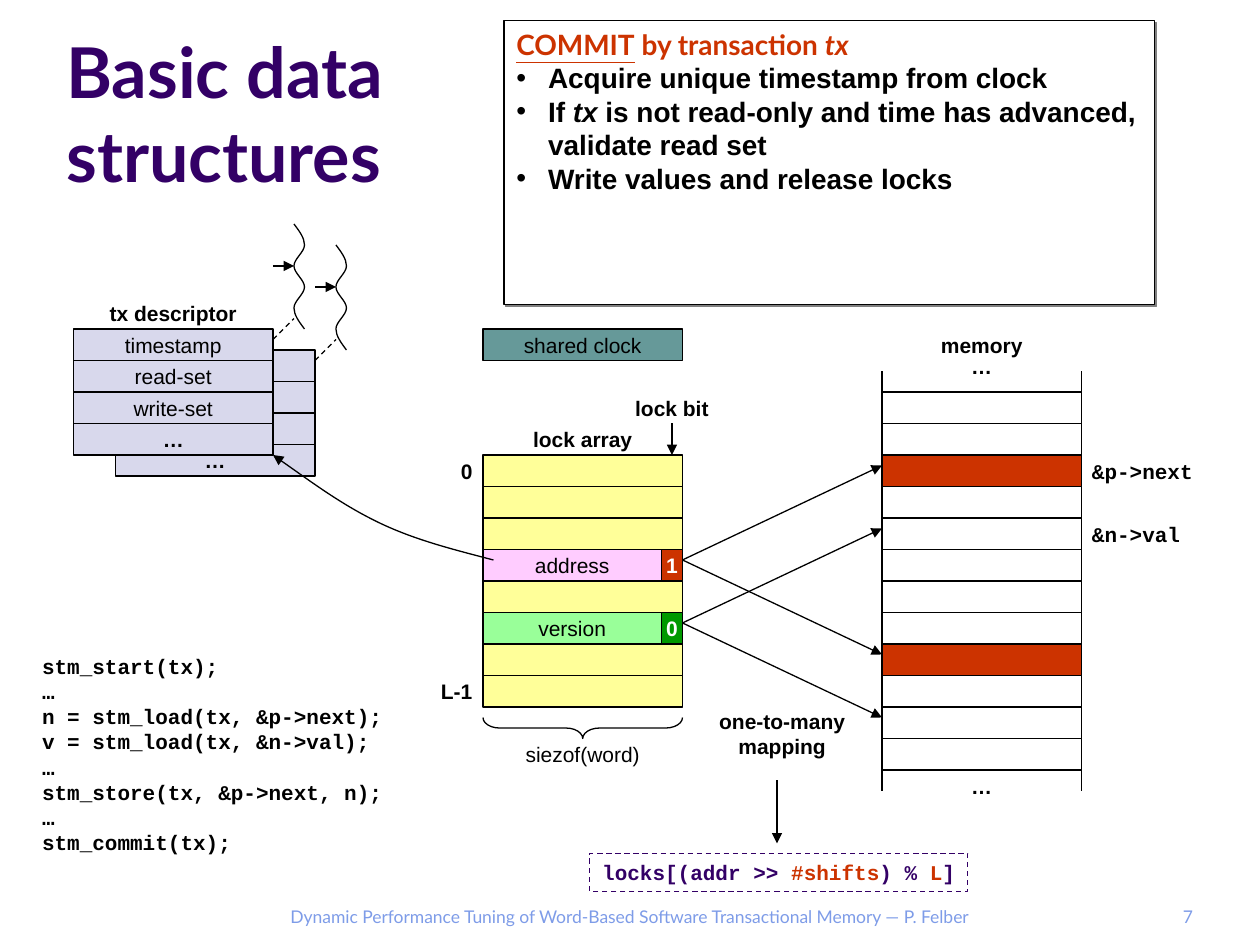
import lxml.etree
import pptx
import pptx.dml.color
import pptx.enum.dml
import pptx.enum.shapes
import pptx.enum.text
import pptx.oxml.ns
import pptx.util

Cm = pptx.util.Cm
Pt = pptx.util.Pt
qn = pptx.oxml.ns.qn
ALIGN = pptx.enum.text.PP_ALIGN
ANCHOR = pptx.enum.text.MSO_ANCHOR
SHAPES = pptx.enum.shapes.MSO_SHAPE

# The diagram sits on a grid of twelve units to the inch
UNIT = 2.54 / 12
GRID_TOP = 0.07
ROW = 3
WIDE = 19
CODE = "Courier New"
BLACK, WHITE, PURPLE, RED = "000000", "FFFFFF", "330066", "CC3300"
LILAC, YELLOW, BLUE = "D8D8EC", "FFFF99", "7E9CE8"
WAVE = [(0, 0), (0.5, 0.67), (1, 1.33), (1, 2), (1, 2.67), (0, 3.33), (0, 4),
        (0, 4.67), (1, 5.33), (1, 6), (1, 6.67), (0, 7.33), (0, 8),
        (0, 8.67), (0.5, 9.33), (1, 10)]


def color(value):
    return pptx.dml.color.RGBColor.from_string(value)


def point(column, row):
    return Cm(column * UNIT), Cm(GRID_TOP + row * UNIT)


def area(column, row, width=WIDE, height=ROW):
    return *point(column, row), Cm(width * UNIT), Cm(height * UNIT)


def centimetres(*lengths):
    return tuple(Cm(length) for length in lengths)


def write(box, text, size=12, font="Arial", ink=BLACK, bold=False, align=ALIGN.CENTER,
          anchor=ANCHOR.MIDDLE, wrap=False, inset=(0, 0)):
    """Text is a string, or a list of paragraphs made of (words, changes) spans."""
    frame = box.text_frame
    frame.word_wrap = wrap
    frame.vertical_anchor = anchor
    frame.margin_left = frame.margin_right = Cm(inset[0])
    frame.margin_top = frame.margin_bottom = Cm(inset[1])
    lines = [[(line, {})] for line in text.split("\n")] if isinstance(text, str) else text
    for number, spans in enumerate(lines):
        para = frame.paragraphs[0] if number == 0 else frame.add_paragraph()
        para.alignment = align
        for words, changes in spans:
            if "\v" in words:
                first, second = words.split("\v")
                pieces = [first, second]
            else:
                pieces = [words]
            for index, piece in enumerate(pieces):
                if index:
                    para.add_line_break()
                span = para.add_run()
                span.text = piece
                span.font.size = Pt(size)
                span.font.name = changes.get("font", font)
                span.font.bold = bold
                span.font.italic = changes.get("italic", False)
                span.font.underline = changes.get("underline", False)
                span.font.color.rgb = color(changes.get("ink", ink))


def add_label(page, place, text, **style):
    box = page.shapes.add_textbox(*place)
    write(box, text, **style)
    return box


def stroke(shape, ink=BLACK, dashed=False, arrow=False):
    shape.line.color.rgb = color(ink)
    shape.line.width = Pt(0.75)
    if dashed:
        shape.line.dash_style = pptx.enum.dml.MSO_LINE.DASH
    if arrow:
        lxml.etree.SubElement(shape.get_or_add_ln(), qn("a:tailEnd"), type="triangle")


def add_cell(page, place, fill, text="", edge=BLACK, dashed=False, **style):
    cell = page.shapes.add_shape(SHAPES.RECTANGLE, *place)
    cell.shadow.inherit = False
    cell.fill.solid()
    cell.fill.fore_color.rgb = color(fill)
    stroke(cell, edge, dashed)
    if text:
        write(cell, text, **style)
    return cell


def add_line(page, start, end, **style):
    line = page.shapes.add_connector(pptx.enum.shapes.MSO_CONNECTOR.STRAIGHT,
                                     *point(*start), *point(*end))
    lxml.etree.SubElement(line._element.spPr, qn("a:effectLst"))
    stroke(line, **style)


def add_curve(page, points, **style):
    """Draw a chain of Bezier curves: a start, then two handles and an end each."""
    start, *rest = [point(*spot) for spot in points]
    builder = page.shapes.build_freeform(*start)
    builder.add_line_segments(rest, close=False)
    curve = builder.convert_to_shape()
    curve.shadow.inherit = False
    curve.fill.background()
    stroke(curve, **style)
    steps = list(curve._element.iter(qn("a:lnTo")))
    for first in range(0, len(steps), 3):
        bend, *handles = steps[first:first + 3]
        bend.tag = qn("a:cubicBezTo")
        for handle in handles:
            bend.append(handle[0])
            handle.getparent().remove(handle)


def add_bullets(box):
    for number, para in enumerate(box.text_frame.paragraphs):
        settings = para._p.get_or_add_pPr()
        settings.set("marL", str(Cm(0.64)))
        settings.set("indent", str(-Cm(0.64)))
        if number:
            tint = lxml.etree.SubElement(settings, qn("a:buClr"))
            lxml.etree.SubElement(tint, qn("a:srgbClr"), val=BLACK)
            lxml.etree.SubElement(settings, qn("a:buFont"), typeface="Arial")
            lxml.etree.SubElement(settings, qn("a:buChar"), char="•")


def add_commit_box(page):
    text = [
        [("COMMIT", {"font": "Lato", "ink": RED, "underline": True}),
         (" by transaction ", {"font": "Lato", "ink": RED}),
         ("tx", {"font": "Lato", "ink": RED, "italic": True})],
        [("Acquire unique timestamp from clock", {})],
        [("If ", {}), ("tx", {"italic": True}),
         (" is not read-only and time has advanced, validate read set", {})],
        [("Write values and release locks", {})],
    ]
    box = add_cell(page, centimetres(10.16, 0.42, 13.12, 5.72), WHITE, text, size=16, bold=True,
                   align=ALIGN.LEFT, anchor=ANCHOR.TOP, wrap=True, inset=(0.25, 0.13))
    add_bullets(box)
    effects = box._element.spPr.find(qn("a:effectLst"))
    shadow = lxml.etree.SubElement(effects, qn("a:outerShdw"), dist=str(Pt(1.4)),
                                   dir="2700000", algn="ctr", rotWithShape="0")
    lxml.etree.SubElement(shadow, qn("a:srgbClr"), val="808080")


def add_descriptors(page):
    stacks = [(11, 33, ["", "", "", "…"]),
              (7, 31, ["timestamp", "read-set", "write-set", "…"])]
    for left, top, names in stacks:
        for number, name in enumerate(names):
            add_cell(page, area(left, top + number * ROW), LILAC, name, bold=name == "…")
        # Thread beside the stack
        right = left + WIDE
        add_curve(page, [(right + 2 + x, top - 10 + y) for x, y in WAVE])
        add_line(page, (right, top - 6), (right + 2, top - 6), arrow=True)
        add_line(page, (right, top + 1), (right + 2, top - 1), dashed=True)
    add_label(page, area(7, 28), "tx descriptor", bold=True)


def add_locks(page):
    add_cell(page, area(46, 31), "669999", "shared clock")
    add_label(page, area(46, 40), "lock array", bold=True)
    entries = {3: ("address", "FFCCFF", "1", RED), 5: ("version", "99FF99", "0", "009900")}
    for number in range(8):
        top = 43 + number * ROW
        if number in entries:
            name, fill, bit, bit_fill = entries[number]
            add_cell(page, area(46, top, 17), fill, name)
            add_cell(page, area(63, top, 2), bit_fill, bit, ink=WHITE, bold=True)
        else:
            add_cell(page, area(46, top), YELLOW)
    for top, name in [(43, "0"), (64, "L-1")]:
        add_label(page, area(40, top, 5), name, bold=True, align=ALIGN.RIGHT)
    add_label(page, area(58, 37, 12), "lock bit", bold=True)
    add_line(page, (64, 40), (64, 43), arrow=True)
    # Brace under the array, turned to point down
    brace = page.shapes.add_shape(SHAPES.LEFT_BRACE, *area(54.5, 59.5, 2, WIDE))
    brace.rotation = 270
    brace.adjustments[0] = 0.8
    brace.shadow.inherit = False
    brace.fill.background()
    stroke(brace)
    add_label(page, area(46, 70), "siezof(word)")


def add_memory(page):
    add_label(page, area(84, 31), "memory", bold=True)
    for number in range(12):
        add_cell(page, area(84, 37 + number * ROW), RED if number in (2, 8) else WHITE)
    for side in (84, 84 + WIDE):
        add_line(page, (side, 37), (side, 35))
        add_line(page, (side, 75), (side, 73))
    for top in (33, 73):
        add_label(page, area(84, top), "…", bold=True)
    for top, name in [(43, "&p->next"), (49, "&n->val")]:
        add_label(page, area(104, top, 11), name, font=CODE, bold=True, align=ALIGN.LEFT)


def add_mapping(page):
    for start in (53, 59):
        for end in (start - 9, start + 9):
            add_line(page, (65, start), (84, end), arrow=True)
    add_curve(page, [(47, 53), (43.2, 52), (39.5, 51.1), (36, 49.4),
                     (32.5, 47.7), (29.3, 45.3), (26, 43)], arrow=True)
    add_label(page, area(65, 68), "one-to-many\nmapping", bold=True)
    add_line(page, (74, 74), (74, 80), arrow=True)
    formula = [[("locks[(addr >> ", {}), ("#shifts", {"ink": RED}), (") % ", {}),
                ("L", {"ink": RED}), ("]", {})]]
    add_cell(page, centimetres(11.89, 17.2, 7.62, 0.77), WHITE, formula, edge=PURPLE, dashed=True,
             font=CODE, ink=PURPLE, bold=True, align=ALIGN.LEFT, anchor=ANCHOR.TOP,
             inset=(0.25, 0.13))


def main():
    deck = pptx.Presentation()
    deck.slide_width, deck.slide_height = centimetres(25.4, 19.05)
    page = deck.slides.add_slide(deck.slide_layouts[6])

    # Title and commit steps
    add_label(page, centimetres(1.09, 0.33, 22.61, 3.89), "Basic data\vstructures", size=40,
              font="Lato", ink=PURPLE, bold=True, align=ALIGN.LEFT, wrap=True, inset=(0.25, 0.13))
    add_commit_box(page)

    # Diagram
    add_descriptors(page)
    add_locks(page)
    add_memory(page)
    add_mapping(page)
    program = ("stm_start(tx);\n…\nn = stm_load(tx, &p->next);\nv = stm_load(tx, &n->val);\n"
               "…\nstm_store(tx, &p->next, n);\n…\nstm_commit(tx);")
    add_label(page, area(4, 62, 34, WIDE), program, font=CODE, bold=True, align=ALIGN.LEFT)

    # Footer
    footer = {"size": 10, "font": "Lato", "ink": BLUE, "anchor": ANCHOR.TOP,
              "wrap": True, "inset": (0.25, 0.13)}
    add_label(page, centimetres(4.09, 18.14, 17.2, 0.61), "Dynamic Performance Tuning of "
              "Word-Based Software Transactional Memory — P. Felber", **footer)
    add_label(page, centimetres(21.51, 18.14, 2.79, 0.61), "7", align=ALIGN.RIGHT, **footer)
    deck.save("out.pptx")


if __name__ == "__main__":
    main()
